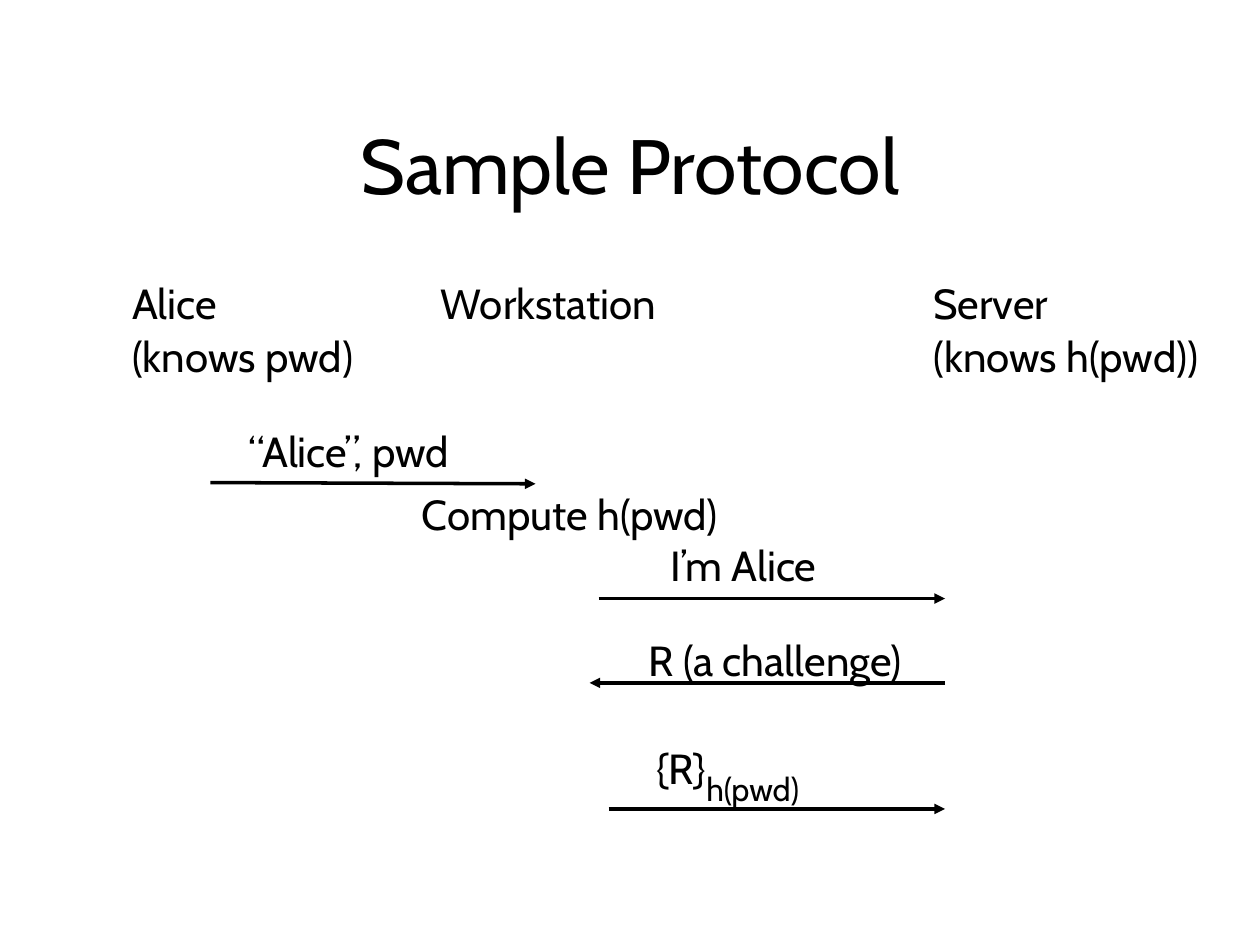
from lxml.etree import SubElement
from pptx import Presentation
from pptx.dml.color import RGBColor
from pptx.enum.shapes import MSO_CONNECTOR
from pptx.enum.text import MSO_ANCHOR, MSO_AUTO_SIZE, PP_ALIGN
from pptx.oxml.ns import qn
from pptx.util import Inches, Pt

FONT = "Cabin"
INK = "000000"


def color(hue):
    return RGBColor.from_string(hue)


def add_run(para, text, size, base=0):
    run = para.add_run()
    run.text = text
    run.font.name = FONT
    run.font.size = Pt(size)
    run.font.color.rgb = color(INK)
    if base:
        run.font._element.set("baseline", str(base * 1000))


def set_title(slide, text, box):
    title = slide.shapes.title
    title.left, title.top, title.width, title.height = map(Inches, box)
    frame = title.text_frame
    frame.auto_size = MSO_AUTO_SIZE.NONE
    frame.vertical_anchor = MSO_ANCHOR.MIDDLE
    para = frame.paragraphs[0]
    para.alignment = PP_ALIGN.CENTER
    para.line_spacing = 1.01
    add_run(para, text, 44)


def add_label(slide, box, lines):
    """Each line is a list of (text, size, baseline) runs."""
    frame = slide.shapes.add_textbox(*map(Inches, box)).text_frame
    frame.word_wrap = False
    frame.auto_size = MSO_AUTO_SIZE.SHAPE_TO_FIT_TEXT
    for i, runs in enumerate(lines):
        para = frame.add_paragraph() if i else frame.paragraphs[0]
        para.alignment = PP_ALIGN.LEFT
        para.line_spacing = 1.06 if i else 1.01
        for run in runs:
            add_run(para, *run)


def add_arrow(slide, start, end):
    line = slide.shapes.add_connector(
        MSO_CONNECTOR.STRAIGHT, *map(Inches, start + end))
    line.line.color.rgb = color(INK)
    line.line.width = Pt(2)
    props = line._element.spPr
    SubElement(props.find(qn("a:ln")), qn("a:tailEnd"), type="triangle")
    SubElement(props, qn("a:effectLst"))


def add_party(slide, left, width, *names):
    height = 0.51 + 0.42 * (len(names) - 1)
    add_label(slide, (left, 2.15, width, height),
              [[(name, 24)] for name in names])


def add_step(slide, box, runs, start=None, end=None):
    add_label(slide, box, [runs])
    if start:
        add_arrow(slide, start, end)


def main():
    deck = Presentation()
    deck.slide_width, deck.slide_height = Inches(10), Inches(7.5)
    slide = deck.slides.add_slide(deck.slide_layouts[5])
    set_title(slide, "Sample Protocol", (0.75, 0.67, 8.5, 1.25))

    # Parties
    add_party(slide, 0.95, 2.17, "Alice", "(knows pwd)")
    add_party(slide, 3.4, 2.11, "Workstation")
    add_party(slide, 7.31, 2.57, "Server", "(knows h(pwd))")

    # Login at the workstation
    add_step(slide, (1.87, 3.32, 2.02, 0.51), [("“Alice”, pwd", 24)],
             (1.67, 3.83), (4.25, 3.84))
    add_step(slide, (3.25, 3.82, 2.81, 0.51), [("Compute h(pwd)", 24)])

    # Challenge and response with the server
    add_step(slide, (5.22, 4.23, 1.51, 0.51), [("I’m Alice", 24)],
             (4.75, 4.75), (7.5, 4.75))
    add_step(slide, (5.05, 4.98, 2.48, 0.51), [("R (a challenge)", 24)],
             (7.5, 5.42), (4.68, 5.42))
    add_step(slide, (5.11, 5.73, 1.49, 0.74),
             [("{R}", 24), ("h(pwd)", 32, -30)],
             (4.83, 6.42), (7.5, 6.42))

    deck.save("out.pptx")


if __name__ == "__main__":
    main()
